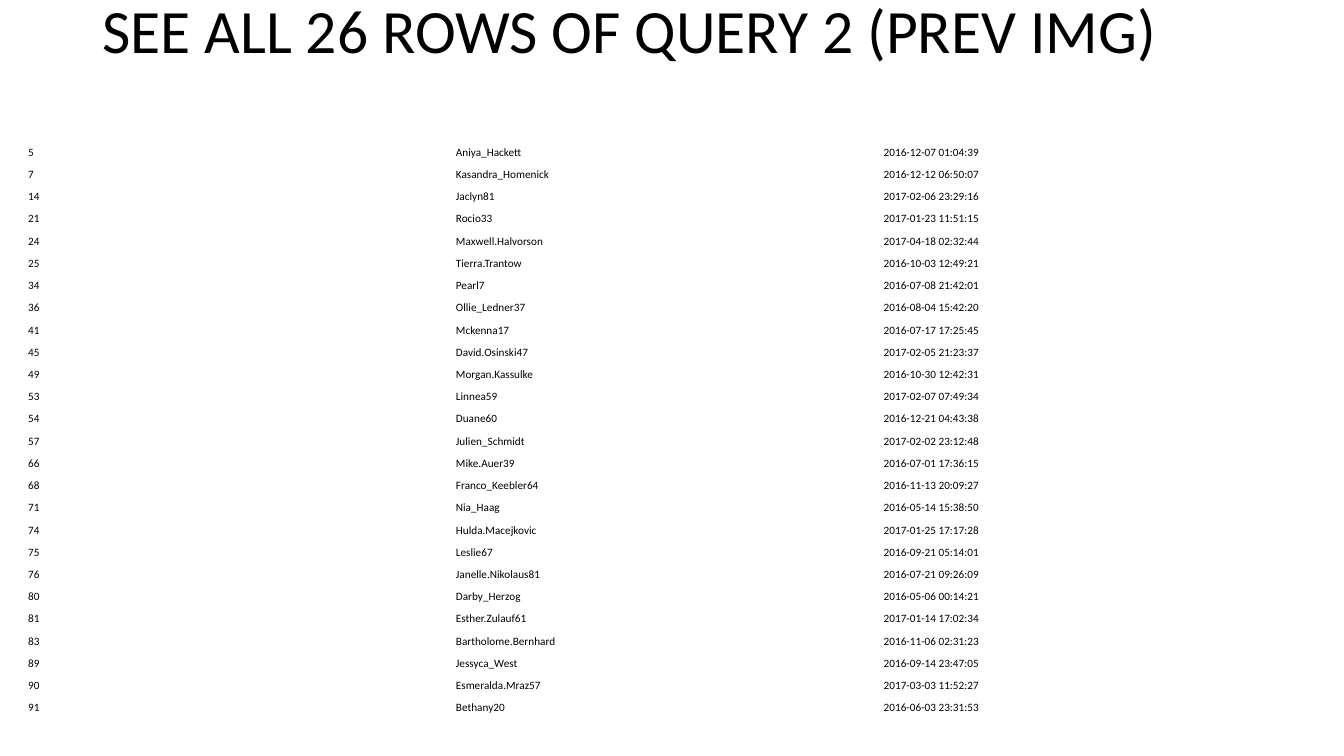
from dataclasses import dataclass

from pptx import Presentation
from pptx import util as u
from pptx.dml.color import RGBColor
from pptx.enum import text


@dataclass(frozen=True)
class Theme:
    font: str = "Calibri"
    ink: RGBColor = RGBColor(0, 0, 0)
    title_size: int = 44
    cell_size: int = 8


@dataclass(frozen=True)
class Box:
    left: float
    top: float
    width: float
    height: float

    def lengths(self):
        return [u.Cm(n) for n in (self.left, self.top, self.width, self.height)]


THEME = Theme()
TITLE = "SEE ALL 26 ROWS OF QUERY 2 (PREV IMG)"
USERS = [
    ("5", "Aniya_Hackett", "2016-12-07 01:04:39"),
    ("7", "Kasandra_Homenick", "2016-12-12 06:50:07"),
    ("14", "Jaclyn81", "2017-02-06 23:29:16"),
    ("21", "Rocio33", "2017-01-23 11:51:15"),
    ("24", "Maxwell.Halvorson", "2017-04-18 02:32:44"),
    ("25", "Tierra.Trantow", "2016-10-03 12:49:21"),
    ("34", "Pearl7", "2016-07-08 21:42:01"),
    ("36", "Ollie_Ledner37", "2016-08-04 15:42:20"),
    ("41", "Mckenna17", "2016-07-17 17:25:45"),
    ("45", "David.Osinski47", "2017-02-05 21:23:37"),
    ("49", "Morgan.Kassulke", "2016-10-30 12:42:31"),
    ("53", "Linnea59", "2017-02-07 07:49:34"),
    ("54", "Duane60", "2016-12-21 04:43:38"),
    ("57", "Julien_Schmidt", "2017-02-02 23:12:48"),
    ("66", "Mike.Auer39", "2016-07-01 17:36:15"),
    ("68", "Franco_Keebler64", "2016-11-13 20:09:27"),
    ("71", "Nia_Haag", "2016-05-14 15:38:50"),
    ("74", "Hulda.Macejkovic", "2017-01-25 17:17:28"),
    ("75", "Leslie67", "2016-09-21 05:14:01"),
    ("76", "Janelle.Nikolaus81", "2016-07-21 09:26:09"),
    ("80", "Darby_Herzog", "2016-05-06 00:14:21"),
    ("81", "Esther.Zulauf61", "2017-01-14 17:02:34"),
    ("83", "Bartholome.Bernhard", "2016-11-06 02:31:23"),
    ("89", "Jessyca_West", "2016-09-14 23:47:05"),
    ("90", "Esmeralda.Mraz57", "2017-03-03 11:52:27"),
    ("91", "Bethany20", "2016-06-03 23:31:53"),
    ("", "", ""),
]


def add_run(paragraph, words, size):
    run = paragraph.add_run()
    run.text = words
    run.font.name = THEME.font
    run.font.size = u.Pt(size)
    run.font.color.rgb = THEME.ink


def add_title(slide, box):
    frame = slide.shapes.add_textbox(*box.lengths()).text_frame
    frame.word_wrap = True
    frame.vertical_anchor = text.MSO_ANCHOR.MIDDLE
    paragraph = frame.paragraphs[0]
    paragraph.line_spacing = 0.9
    add_run(paragraph, TITLE, THEME.title_size)


def fill_cell(cell, words):
    cell.fill.background()
    cell.vertical_anchor = text.MSO_ANCHOR.MIDDLE
    cell.margin_left = cell.margin_right = u.Cm(0.1)
    cell.margin_top = cell.margin_bottom = u.Cm(0.05)
    paragraph = cell.text_frame.paragraphs[0]
    if words:
        add_run(paragraph, words, THEME.cell_size)
    else:
        ending = paragraph._p.get_or_add_endParaRPr()
        ending.set("sz", str(THEME.cell_size * 100))


def add_user_table(slide, box):
    shape = slide.shapes.add_table(len(USERS), len(USERS[0]), *box.lengths())
    table = shape.table
    table.first_row = False
    table.horz_banding = False
    for row, user in zip(table.rows, USERS):
        for cell, words in zip(row.cells, user):
            fill_cell(cell, words)


def main():
    presentation = Presentation()
    presentation.slide_width = u.Cm(33.87)
    presentation.slide_height = u.Cm(19.05)
    slide = presentation.slides.add_slide(presentation.slide_layouts[6])
    add_title(slide, Box(2.33, -0.69, 29.21, 3.05))
    add_user_table(slide, Box(0.61, 3.56, 32.34, 15.13))
    presentation.save("out.pptx")


if __name__ == "__main__":
    main()
